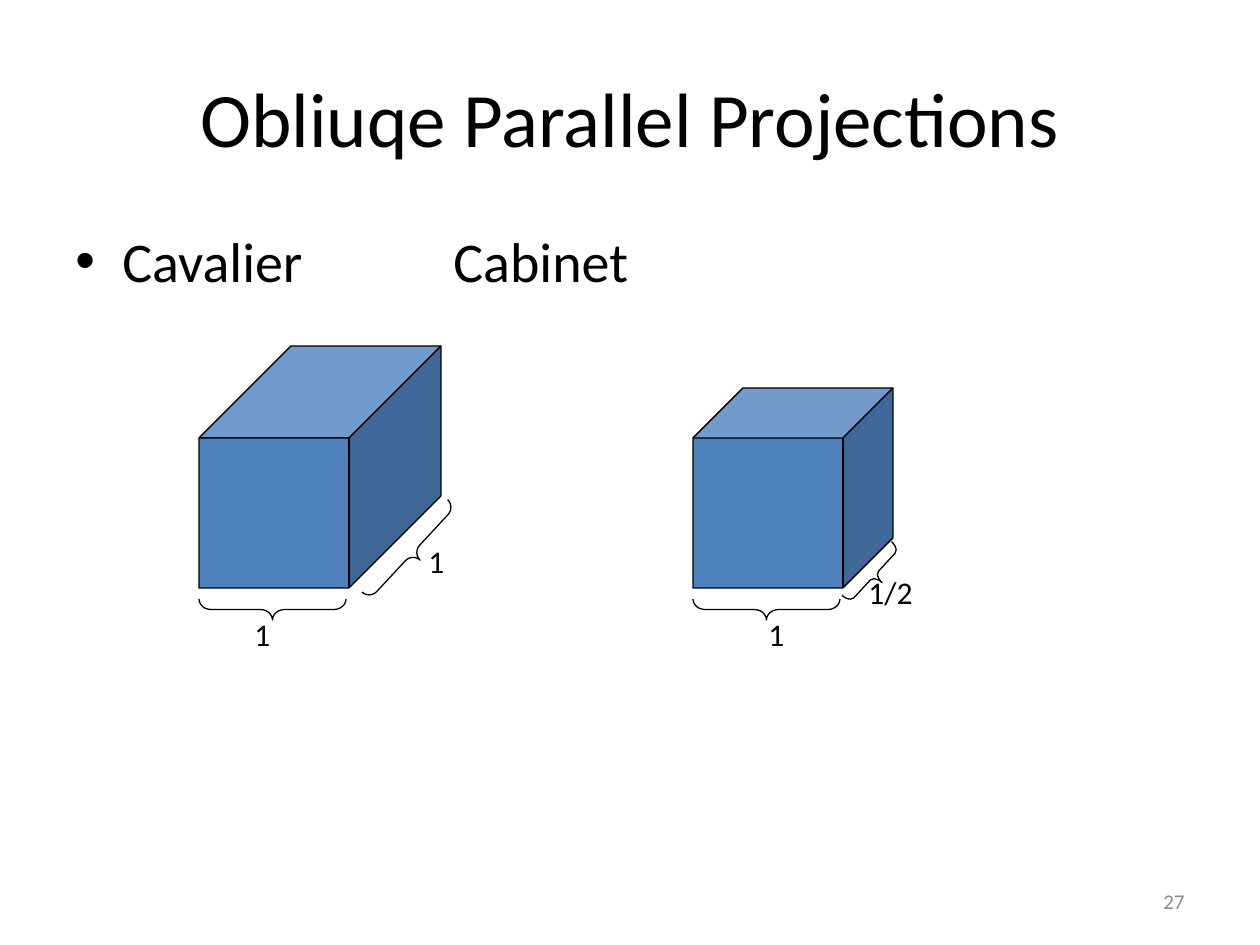
import pptx
import pptx.util
import pptx.dml.color
import pptx.enum.shapes
import pptx.enum.text
import lxml.etree

PX = 914400 // 126
COLORS = {"text": "000000", "cube": "4F81BD", "line": "000000", "number": "8C8C8C"}
SHAPE = pptx.enum.shapes.MSO_SHAPE
ALIGN = pptx.enum.text.PP_ALIGN
ANCHOR = pptx.enum.text.MSO_ANCHOR
FIT = pptx.enum.text.MSO_AUTO_SIZE

TITLE = ("Obliuqe Parallel Projections", (63, 38, 1134, 157))
HEADINGS = ("Cavalier\t\t\tCabinet", (63, 220, 1134, 624))
NUMBER = ("27", (903, 876, 294, 50))
# box, depth as a share of the side
CUBES = [((199, 346, 242, 242), 0.38), ((693, 388, 200, 200), 0.25)]
# box, rotation, curl
BRACES = [
    ((262, 536, 21, 147), 270, 0.58),
    ((756, 536, 21, 147), 270, 0.58),
    ((402, 490, 21, 126), 222.8, 0.5),
    ((864, 539, 21, 73), 222.8, 0.29),
]
LABELS = [
    ("1", (242, 609, 47, 63)),
    ("1", (416, 536, 47, 63)),
    ("1", (756, 609, 47, 63)),
    ("1/2", (856, 567, 79, 63)),
]


def emu(box):
    return [pptx.util.Emu(v * PX) for v in box]


def rgb(name):
    return pptx.dml.color.RGBColor.from_string(COLORS[name])


def write(sp, text, size, color="text", align=ALIGN.LEFT, **frame):
    tf = sp.text_frame
    for name, value in frame.items():
        setattr(tf, name, value)
    p = tf.paragraphs[0]
    p.alignment = align
    r = p.add_run()
    r.text = text
    for name, value in {"name": "Calibri", "size": pptx.util.Pt(size)}.items():
        setattr(r.font, name, value)
    r.font.color.rgb = rgb(color)
    return p


def add_outlined(s, kind, box, adjustments):
    sp = s.shapes.add_shape(kind, *emu(box))
    sp.shadow.inherit = False
    sp.line.color.rgb = rgb("line")
    sp.line.width = pptx.util.Pt(0.75)
    for i, value in enumerate(adjustments):
        sp.adjustments[i] = value
    return sp


def add_bullet(p, indent):
    pPr = p._p.get_or_add_pPr()
    pPr.set("marL", str(indent * PX))
    pPr.set("indent", str(-indent * PX))
    ns = pptx.oxml.ns.qn
    lxml.etree.SubElement(pPr, ns("a:buFont")).set("typeface", "Arial")
    lxml.etree.SubElement(pPr, ns("a:buChar")).set("char", "•")


def main():
    prs = pptx.Presentation()
    prs.slide_width, prs.slide_height = emu((1260, 945))
    s = prs.slides.add_slide(prs.slide_layouts[5])

    text, box = TITLE
    title = s.shapes.title
    title.left, title.top, title.width, title.height = emu(box)
    write(title, text, 44, align=ALIGN.CENTER, vertical_anchor=ANCHOR.MIDDLE)

    text, box = HEADINGS
    p = write(s.shapes.add_textbox(*emu(box)), text, 32, word_wrap=True)
    p.space_before = pptx.util.Pt(6.4)
    add_bullet(p, 47)

    for box, depth in CUBES:
        cube = add_outlined(s, SHAPE.CUBE, box, [depth])
        cube.fill.solid()
        cube.fill.fore_color.rgb = rgb("cube")

    for text, box in LABELS:
        write(s.shapes.add_textbox(*emu(box)), text, 18,
              word_wrap=False, auto_size=FIT.SHAPE_TO_FIT_TEXT)

    for box, rotation, curl in BRACES:
        brace = add_outlined(s, SHAPE.LEFT_BRACE, box, [curl, 0.5])
        brace.fill.background()
        brace.rotation = rotation

    text, box = NUMBER
    write(s.shapes.add_textbox(*emu(box)), text, 12, "number", ALIGN.RIGHT,
          word_wrap=True, vertical_anchor=ANCHOR.MIDDLE)

    prs.save("out.pptx")


if __name__ == "__main__":
    main()
